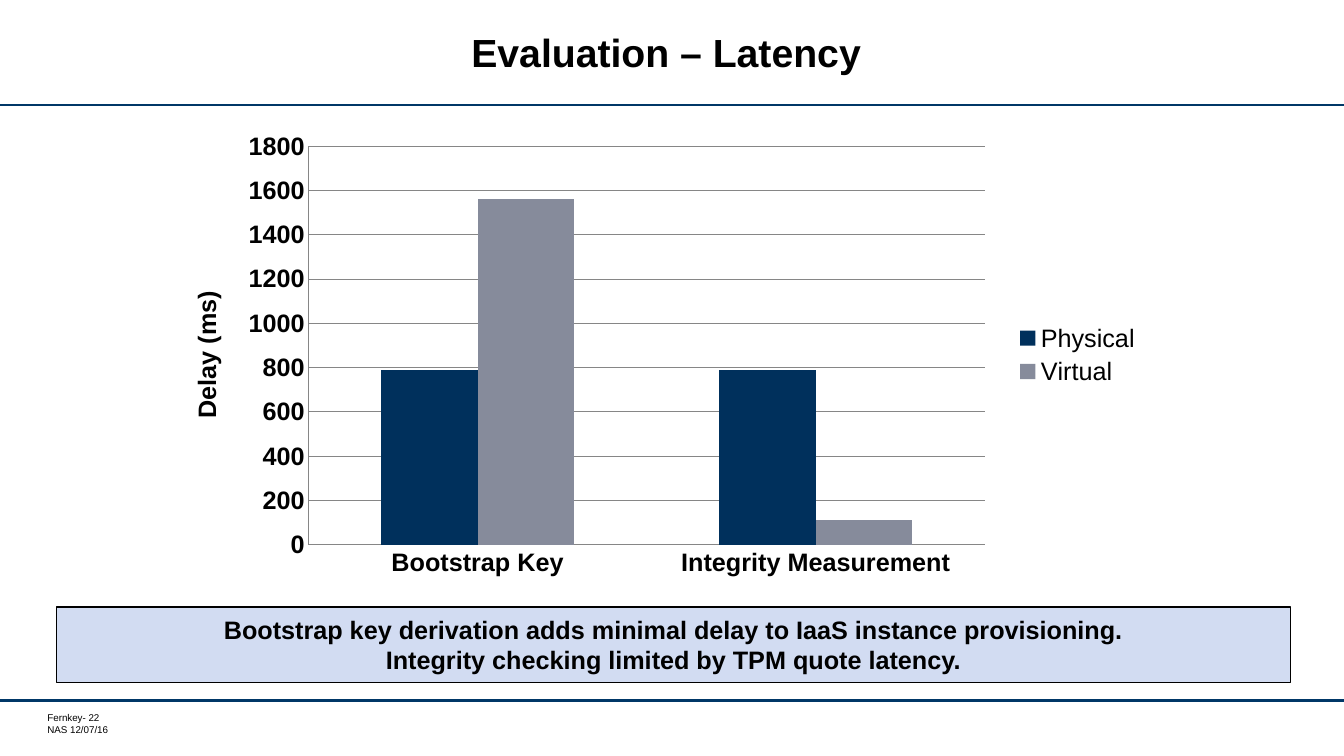
from lxml.etree import SubElement
from pptx import Presentation
from pptx.chart.data import CategoryChartData
from pptx.dml.color import RGBColor
from pptx.enum.chart import XL_CHART_TYPE, XL_LEGEND_POSITION, XL_TICK_MARK
from pptx.enum.shapes import MSO_CONNECTOR, MSO_SHAPE
from pptx.enum.text import MSO_ANCHOR, PP_ALIGN
from pptx.oxml.ns import qn
from pptx.util import Inches, Pt

TITLE = "Evaluation – Latency "
FOOTER = ["Fernkey- 22", "NAS 12/07/16"]
TAKEAWAYS = [
    "Bootstrap key derivation adds minimal delay to IaaS instance provisioning.",
    "Integrity checking limited by TPM quote latency.",
]
OPERATIONS = ["Bootstrap Key", "Integrity Measurement"]
DELAYS = [
    ("Physical", [790, 790], "00305C"),
    ("Virtual", [1560, 110], "868B9B"),
]
DELAY_TITLE = "Delay (ms)"
PLOT_AREA = {"x": 0.14, "y": 0.05, "w": 0.69, "h": 0.86}
RULE_HEIGHTS = [1.04, 6.95]
SLIDE_WIDTH, SLIDE_HEIGHT = 13.33, 7.5
FONT = "Arial"
BLACK, NAVY, GRID_GREY, PALE_BLUE = "000000", "003767", "868686", "D2DCF2"


def color(hex_code):
    return RGBColor.from_string(hex_code)


def set_font(font, size, bold=False):
    font.name = FONT
    font.size = Pt(size)
    font.bold = bold
    font.color.rgb = color(BLACK)


def set_line(line, hex_code, width):
    line.color.rgb = color(hex_code)
    line.width = Pt(width)


def write_lines(frame, lines, size, bold=False, align=PP_ALIGN.LEFT,
                anchor=MSO_ANCHOR.TOP, insets=(0, 0)):
    """Fill a text frame, one paragraph a line; insets are (sides, top and bottom)."""
    frame.word_wrap = True
    frame.vertical_anchor = anchor
    frame.margin_left = frame.margin_right = Inches(insets[0])
    frame.margin_top = frame.margin_bottom = Inches(insets[1])
    for index, line in enumerate(lines):
        paragraph = frame.add_paragraph() if index else frame.paragraphs[0]
        paragraph.text = line
        paragraph.alignment = align
        set_font(paragraph.font, size, bold)


def add_rule(slide, y):
    rule = slide.shapes.add_connector(
        MSO_CONNECTOR.STRAIGHT, 0, Inches(y), Inches(SLIDE_WIDTH), Inches(y))
    set_line(rule.line, NAVY, 1.75)
    SubElement(rule.line._get_or_add_ln().getparent(), qn("a:effectLst"))


def place_plot(chart):
    """Fix the inner plot area as fractions of the chart."""
    plot_area = chart.plots[0]._element.getparent()
    for old_layout in plot_area.findall(qn("c:layout")):
        plot_area.remove(old_layout)
    layout = SubElement(plot_area, qn("c:layout"))
    plot_area.insert(0, layout)
    manual = SubElement(layout, qn("c:manualLayout"))
    settings = [("layoutTarget", "inner"), ("xMode", "edge"), ("yMode", "edge")]
    for tag, value in settings + list(PLOT_AREA.items()):
        SubElement(manual, qn(f"c:{tag}")).set("val", str(value))


def add_delay_chart(slide):
    data = CategoryChartData()
    data.categories = OPERATIONS
    for name, values, _ in DELAYS:
        data.add_series(name, values)
    chart = slide.shapes.add_chart(
        XL_CHART_TYPE.COLUMN_CLUSTERED,
        Inches(1.7), Inches(1.22), Inches(9.72), Inches(4.6), data).chart
    set_font(chart.font, 18)
    chart.has_title = False
    chart.has_legend = True
    chart.legend.position = XL_LEGEND_POSITION.RIGHT
    chart.legend.include_in_layout = False

    columns = chart.plots[0]
    columns.gap_width = 150
    columns.vary_by_categories = False
    for series, (_, _, fill) in zip(columns.series, DELAYS):
        series.format.fill.solid()
        series.format.fill.fore_color.rgb = color(fill)

    for axis in (chart.category_axis, chart.value_axis):
        axis.major_tick_mark = axis.minor_tick_mark = XL_TICK_MARK.NONE
        set_font(axis.tick_labels.font, 18, bold=True)
        set_line(axis.format.line, GRID_GREY, 0.75)
    delay_axis = chart.value_axis
    delay_axis.minimum_scale, delay_axis.maximum_scale = 0, 1800
    delay_axis.major_unit = 200
    set_line(delay_axis.major_gridlines.format.line, GRID_GREY, 0.75)
    axis_title = delay_axis.axis_title.text_frame
    axis_title.text = DELAY_TITLE
    set_font(axis_title.paragraphs[0].font, 18, bold=True)
    place_plot(chart)


def add_takeaway_box(slide):
    box = slide.shapes.add_shape(
        MSO_SHAPE.RECTANGLE, Inches(0.56), Inches(6.02), Inches(12.24), Inches(0.75))
    box.shadow.inherit = False
    box.fill.solid()
    box.fill.fore_color.rgb = color(PALE_BLUE)
    set_line(box.line, BLACK, 1)
    write_lines(box.text_frame, TAKEAWAYS, 18, True, PP_ALIGN.CENTER,
                MSO_ANCHOR.MIDDLE, (0.05, 0.05))


def main():
    deck = Presentation()
    deck.slide_width, deck.slide_height = Inches(SLIDE_WIDTH), Inches(SLIDE_HEIGHT)
    slide = deck.slides.add_slide(deck.slide_layouts[6])
    for y in RULE_HEIGHTS:
        add_rule(slide, y)

    footer = slide.shapes.add_textbox(
        Inches(0.47), Inches(7.06), Inches(1.59), Inches(0.24))
    write_lines(footer.text_frame, FOOTER, 7)

    title = slide.shapes.add_textbox(
        Inches(1.37), Inches(0.11), Inches(10.58), Inches(0.89))
    write_lines(title.text_frame, [TITLE], 28, True, PP_ALIGN.CENTER,
                MSO_ANCHOR.MIDDLE, (0.1, 0.05))
    title.text_frame.paragraphs[0].line_spacing = Pt(28)

    add_delay_chart(slide)
    add_takeaway_box(slide)
    deck.save("out.pptx")


if __name__ == "__main__":
    main()
